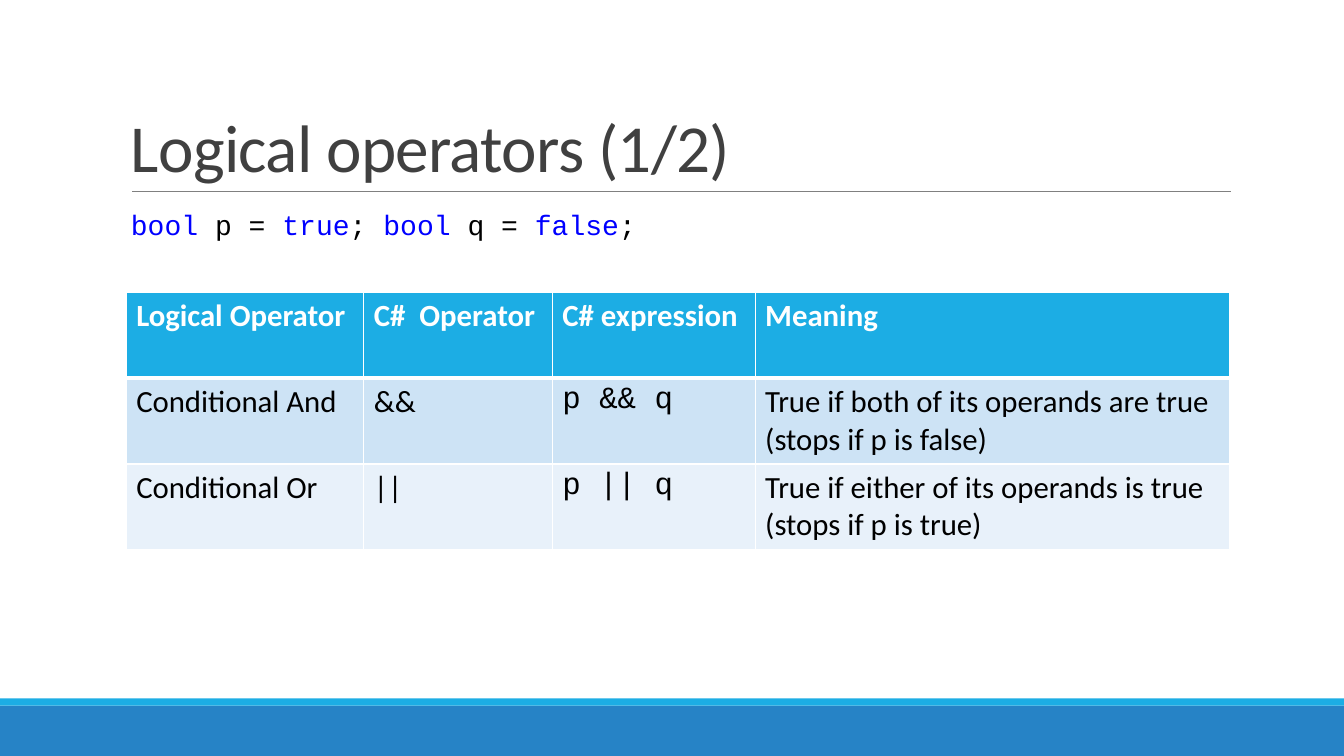
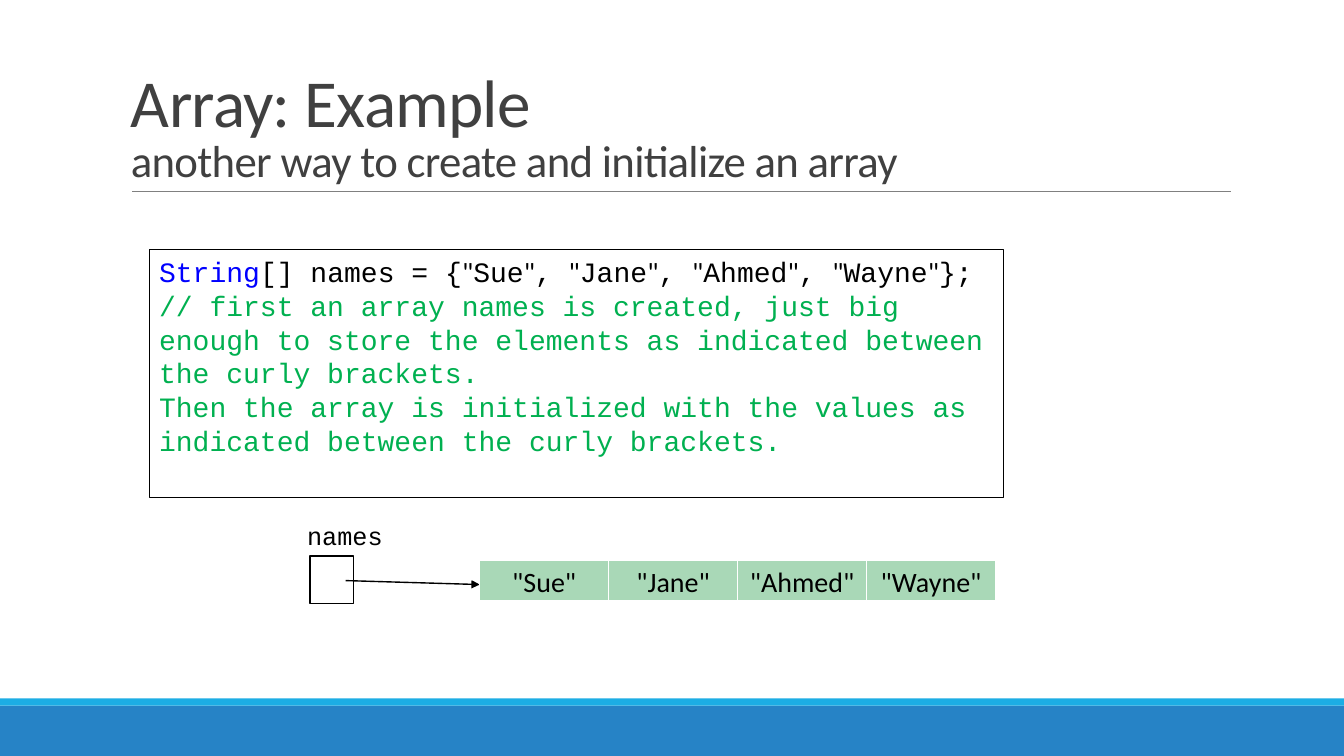
from itertools import accumulate

from lxml.etree import SubElement
from pptx import Presentation
from pptx.dml.color import RGBColor
from pptx.enum.shapes import MSO_CONNECTOR as Line, MSO_SHAPE as Shape
from pptx.enum.text import MSO_ANCHOR as Anchor, PP_ALIGN as Align
from pptx.oxml.ns import qn
from pptx.util import Cm, Pt

WHITE = RGBColor(0xFF, 0xFF, 0xFF)
BLACK = RGBColor(0x00, 0x00, 0x00)
TITLE_GRAY = RGBColor(0x40, 0x40, 0x40)
RULE_GRAY = RGBColor(0x80, 0x80, 0x80)
BAND_BLUE = RGBColor(0x26, 0x83, 0xC6)
ACCENT = RGBColor(0x1C, 0xAD, 0xE4)
ROW_DARK = RGBColor(0xCD, 0xE3, 0xF5)
ROW_LIGHT = RGBColor(0xE8, 0xF1, 0xFA)
ELEMENT_GREEN = RGBColor(0xA9, 0xD8, 0xB7)
KEYWORD = RGBColor(0x00, 0x00, 0xFF)
COMMENT = RGBColor(0x00, 0xB0, 0x50)
SANS, MONO = "Calibri", "Courier New"
WIDTH, HEIGHT = 33.87, 19.05

# Content: a paragraph is a list of (text, format) runs
LOGIC_TITLE = [("Logical operators (1/2)", {})]
DECLARATION = [
    ("bool", {"color": KEYWORD}), (" p = ", {}), ("true", {"color": KEYWORD}), ("; ", {}),
    ("bool", {"color": KEYWORD}), (" q = ", {}), ("false", {"color": KEYWORD}), (";", {}),
]
OPERATORS = [
    ["Logical Operator", "C#  Operator", "C# expression", "Meaning"],
    ["Conditional And", "&&", "p && q",
     "True if both of its operands are true (stops if p is false)"],
    ["Conditional Or", "||", "p || q",
     "True if either of its operands is true (stops if p is true)"],
]
OPERATOR_COLS = [5.99, 4.75, 5.11, 11.96]
ROW_FILLS = [ACCENT, ROW_DARK, ROW_LIGHT]
EXPRESSION_COL = 2

ARRAY_TITLE = [
    ("Array: Example ", {}), ("\n", {}),
    ("another way to create and initialize an array", {"size": 32}),
]
NAMES = ["Sue", "Jane", "Ahmed", "Wayne"]
REMARKS = [
    "// first an array names is created, just big enough to store the elements "
    "as indicated between the curly brackets.",
    "Then the array is initialized with the values as indicated between the curly brackets.",
]


def write(frame, paragraphs, size=20, font=MONO, color=BLACK, bold=False,
          align=Align.LEFT, spacing=None, tracking=None):
    """Fill a text frame; a run's own format overrides the keywords."""
    frame.word_wrap = True
    for i, runs in enumerate(paragraphs):
        par = frame.paragraphs[0] if i == 0 else frame.add_paragraph()
        par.alignment, par.line_spacing = align, spacing
        for text, own in runs:
            if text == "\n":
                par.add_line_break()
                continue
            run = par.add_run()
            run.text = text
            run.font.size = Pt(own.get("size", size))
            run.font.name = own.get("font", font)
            run.font.color.rgb = own.get("color", color)
            run.font.bold = bold
            if tracking is not None:
                run.font._element.set("spc", str(int(tracking * 100)))


def text_box(slide, box, paragraphs, anchor=Anchor.TOP, **fmt):
    frame = slide.shapes.add_textbox(*map(Cm, box)).text_frame
    frame.vertical_anchor = anchor
    write(frame, paragraphs, **fmt)


def rectangle(slide, box, fill=None, line_width=None):
    rect = slide.shapes.add_shape(Shape.RECTANGLE, *map(Cm, box))
    rect.shadow.inherit = False
    if fill is None:
        rect.fill.background()
    else:
        rect.fill.solid()
        rect.fill.fore_color.rgb = fill
    if line_width is None:
        rect.line.fill.background()
    else:
        rect.line.color.rgb = BLACK
        rect.line.width = Pt(line_width)
    return rect


def connect(slide, start, end, color, width, arrow=False):
    link = slide.shapes.add_connector(Line.STRAIGHT, *map(Cm, (*start, *end)))
    link.line.color.rgb = color
    link.line.width = Pt(width)
    if arrow:
        SubElement(link.line._get_or_add_ln(), qn("a:tailEnd"), type="triangle")
    SubElement(link._element.spPr, qn("a:effectLst"))


def add_grid(slide, left, top, col_widths, row_height, rows, fills, style):
    """Draw a table; style(row, col) gives the text format of a cell."""
    grid = slide.shapes.add_table(
        len(rows), len(col_widths), Cm(left), Cm(top),
        Cm(sum(col_widths)), Cm(row_height * len(rows))).table
    grid.first_row = grid.horz_banding = False
    for col, width in zip(grid.columns, col_widths):
        col.width = Cm(width)
    # Horizontal rules: thick under the first row, thin elsewhere
    rules = [3 if r == 1 else 1 for r in range(len(rows) + 1)]
    for r, texts in enumerate(rows):
        grid.rows[r].height = Cm(row_height)
        for c, text in enumerate(texts):
            cell = grid.cell(r, c)
            cell.margin_top, cell.margin_bottom = Cm(0.13), Cm(0.05)
            edges = {"lnL": 1, "lnR": 1, "lnT": rules[r], "lnB": rules[r + 1]}
            for edge, points in edges.items():
                ln = SubElement(cell._tc.get_or_add_tcPr(), qn("a:" + edge), w=str(Pt(points)))
                solid = SubElement(ln, qn("a:solidFill"))
                SubElement(solid, qn("a:srgbClr"), val=str(WHITE))
            cell.fill.solid()
            cell.fill.fore_color.rgb = fills[r]
            write(cell.text_frame, [[(text, {})]], **style(r, c))


def new_slide(prs, title):
    """Blank slide with the shared bands, title rule and title."""
    slide = prs.slides.add_slide(prs.slide_layouts[6])
    rectangle(slide, (0, 17.78, WIDTH, 1.27), BAND_BLUE)
    rectangle(slide, (0, 17.6, WIDTH, 0.18), ACCENT)
    connect(slide, (3.33, 4.83), (31.01, 4.83), RULE_GRAY, 0.5)
    text_box(slide, (3.05, 0.79, 27.94, 4.04), [title], anchor=Anchor.BOTTOM,
             size=48, font=SANS, color=TITLE_GRAY, spacing=0.85, tracking=-0.5)
    return slide


def operator_style(row, col):
    header = row == 0
    return {"size": 22, "bold": header, "color": WHITE if header else BLACK,
            "font": MONO if col == EXPRESSION_COL and not header else SANS}


def element_style(row, col):
    return {"font": SANS, "align": Align.CENTER}


def array_code():
    """The array declaration, with straight quotes in the sans font."""
    quote = ('"', {"font": SANS})
    runs = [("String", {"color": KEYWORD}), ("[] names = {", {})]
    for i, name in enumerate(NAMES):
        if i:
            runs.append((", ", {}))
        runs += [quote, (name, {}), quote]
    return runs + [("};", {})]


def logic_slide(prs):
    slide = new_slide(prs, LOGIC_TITLE)
    add_grid(slide, 3.18, 7.37, OPERATOR_COLS, 2.16, OPERATORS, ROW_FILLS, operator_style)
    text_box(slide, (3.05, 5.11, 14.48, 1.96), [DECLARATION])


def array_slide(prs):
    slide = new_slide(prs, ARRAY_TITLE)
    # Code listing
    listing = rectangle(slide, (3.76, 6.3, 21.54, 6.25), line_width=0.75)
    listing.text_frame.vertical_anchor = Anchor.TOP
    remarks = [[(text, {"color": COMMENT})] for text in REMARKS]
    write(listing.text_frame, [array_code(), *remarks])
    # Variable that refers to the array
    rectangle(slide, (7.82, 14.02, 1.09, 1.19), WHITE, 1.25)
    text_box(slide, (7.49, 12.98, 3, 1.02), [[("names", {})]], size=18)
    # Array elements
    elements_left = 12.09
    connect(slide, (8.71, 14.63), (elements_left, 14.73), BLACK, 1, arrow=True)
    add_grid(slide, elements_left, 14.12, [3.25] * len(NAMES), 1.04,
             [[f'"{name}"' for name in NAMES]], [ELEMENT_GREEN], element_style)


def main():
    prs = Presentation()
    prs.slide_width, prs.slide_height = Cm(WIDTH), Cm(HEIGHT)
    logic_slide(prs)
    array_slide(prs)
    prs.save("out.pptx")


if __name__ == "__main__":
    main()
